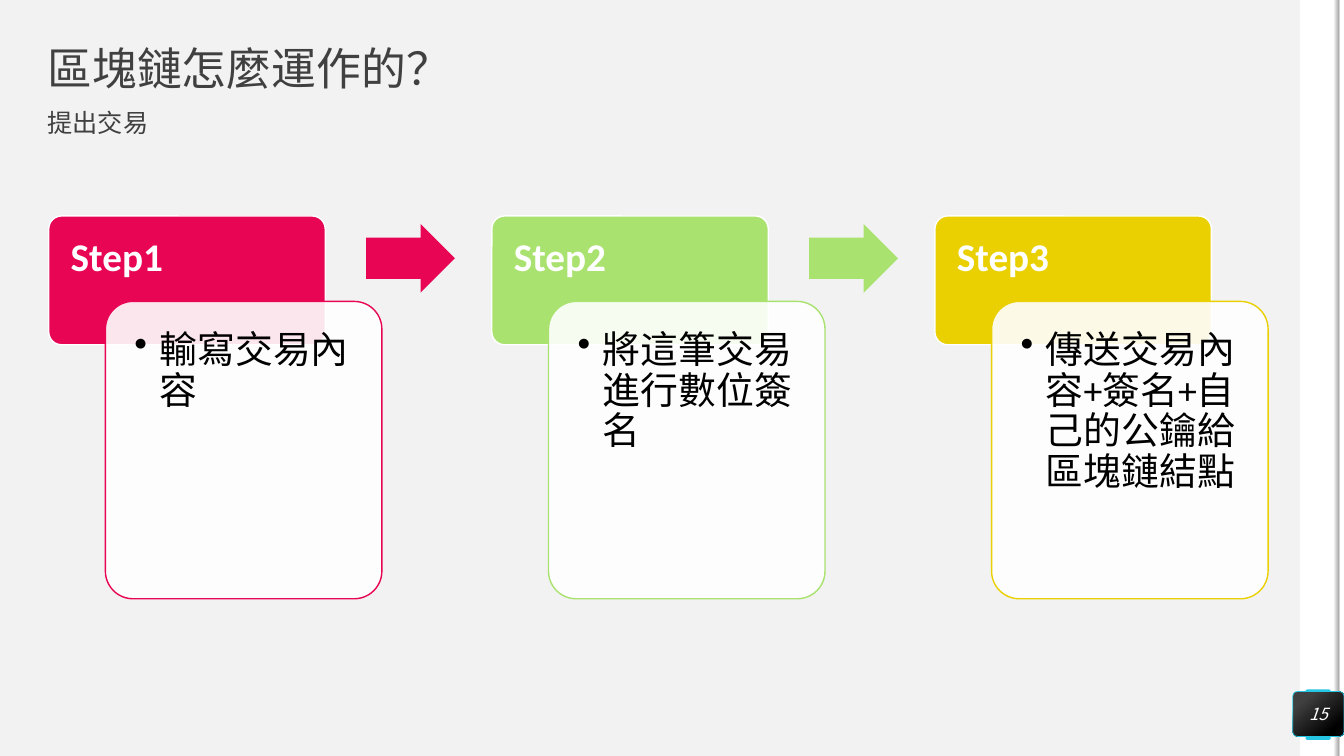
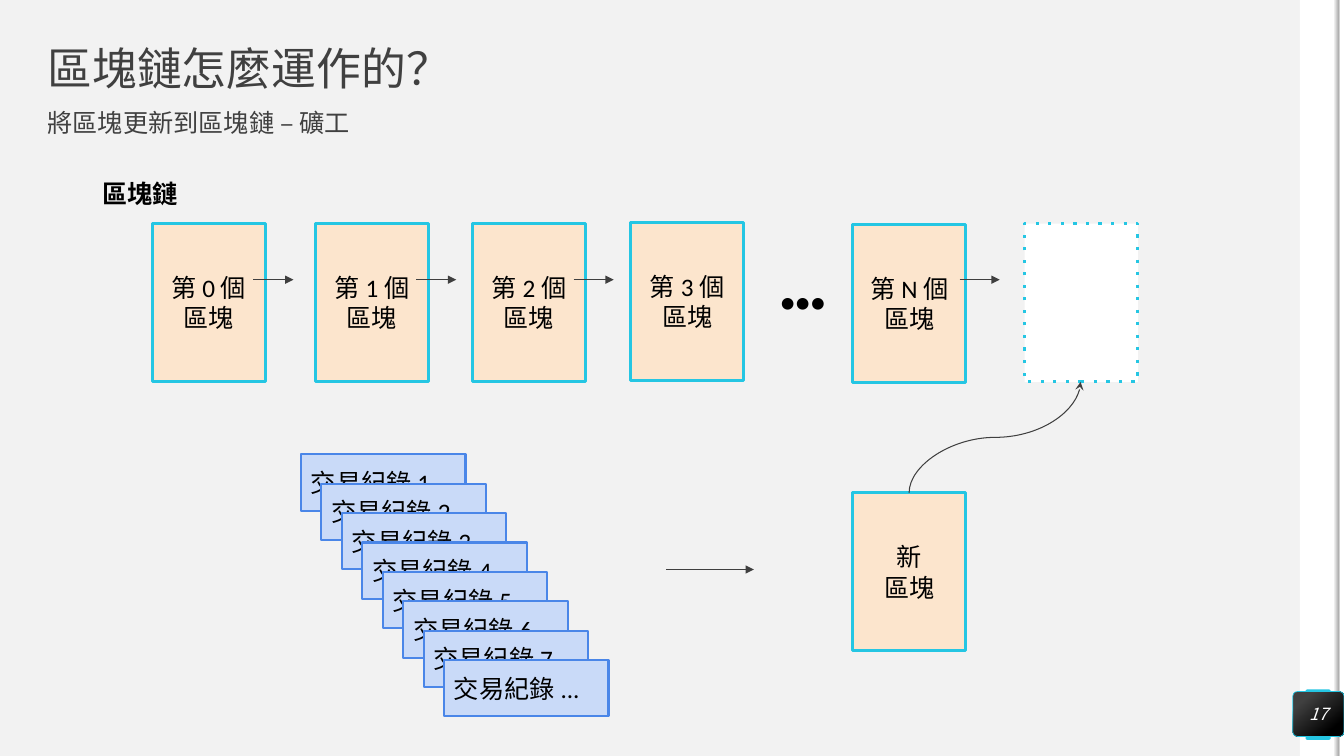
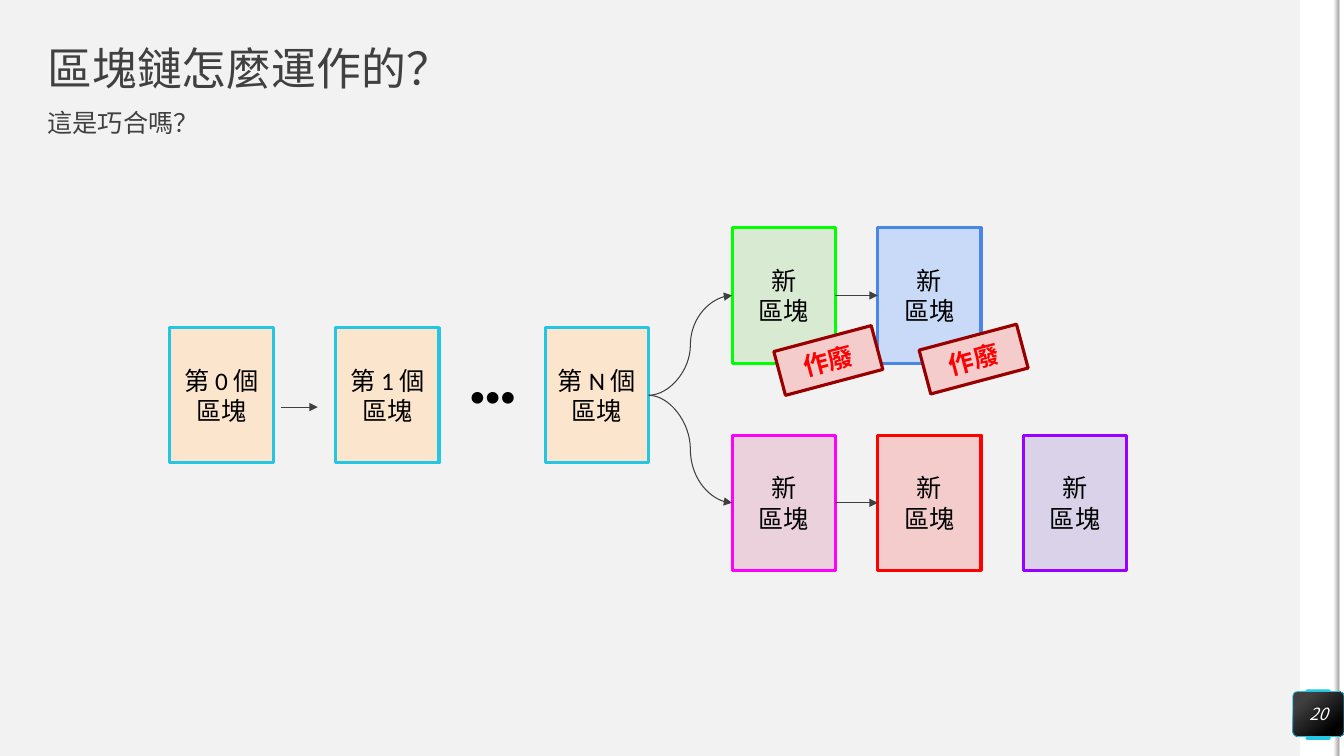
from lxml import etree
from pptx import Presentation
from pptx.dml.color import RGBColor
from pptx.enum.shapes import MSO_CONNECTOR, MSO_SHAPE
from pptx.enum.text import MSO_ANCHOR, MSO_AUTO_SIZE, PP_ALIGN
from pptx.oxml.ns import qn
from pptx.util import Pt

RECT, ROUNDED = MSO_SHAPE.RECTANGLE, MSO_SHAPE.ROUNDED_RECTANGLE
RIGHT_ARROW = MSO_SHAPE.RIGHT_ARROW
STRAIGHT, CURVE = MSO_CONNECTOR.STRAIGHT, MSO_CONNECTOR.CURVE
TOP, MIDDLE = MSO_ANCHOR.TOP, MSO_ANCHOR.MIDDLE
LEFT, CENTER = PP_ALIGN.LEFT, PP_ALIGN.CENTER
LEFT_SITE, RIGHT_SITE = 1, 3
NOTO = "Noto Sans CJK TC"

COLORS = {
    "background": "F2F2F2", "white": "FFFFFF", "black": "000000",
    "heading": "404040", "arrow": "3F3F3F", "shade": "A6A6A6",
    "cyan": "25C6E3", "peach": "FCE5CD",
    "crimson": "E80554", "lime": "A9E26F", "gold": "EAD000",
    "green": "00FF00", "pale green": "D9EAD3",
    "blue": "4A86E8", "pale blue": "C9DAF8",
    "magenta": "FF00FF", "pale magenta": "EAD1DC",
    "red": "FF0000", "pale red": "F4CCCC", "dark red": "980000",
    "purple": "9900FF", "pale purple": "D9D2E9",
}
RGB = {name: RGBColor.from_string(value) for name, value in COLORS.items()}


def write(shape, text, size=18, color="black", font="Calibri", bold=False,
          italic=False, align=CENTER, anchor=MIDDLE, inset=7.2,
          spacing=None, bullet=False):
    """Fill a shape with text, one paragraph for each line."""
    frame = shape.text_frame
    frame.word_wrap = True
    frame.auto_size = MSO_AUTO_SIZE.NONE
    frame.vertical_anchor = anchor
    frame.margin_left = frame.margin_right = Pt(inset)
    frame.margin_top = frame.margin_bottom = Pt(inset)
    for index, line in enumerate(text.split("\n")):
        para = frame.add_paragraph() if index else frame.paragraphs[0]
        para.alignment = align
        para.space_before = Pt(0)
        if spacing:
            para.line_spacing = spacing
        properties = para._p.get_or_add_pPr()
        indent = Pt(18) if bullet else 0
        properties.set("marL", str(indent))
        properties.set("indent", str(-indent))
        if bullet:
            etree.SubElement(properties, qn("a:buChar"), char="•")
        else:
            etree.SubElement(properties, qn("a:buNone"))
        span = para.add_run()
        span.text = line
        span.font.size = Pt(size)
        span.font.bold = bold
        span.font.italic = italic
        span.font.color.rgb = RGB[color]
        span.font.name = font
        etree.SubElement(span.font._element, qn("a:ea"), typeface=font)


def draw(page, kind, left, top, width, height, fill, line=None, weight=2.25,
         radius=None):
    """Add a preset shape; a pair of fill colours makes a gradient."""
    shape = page.shapes.add_shape(kind, Pt(left), Pt(top), Pt(width), Pt(height))
    shape.shadow.inherit = False
    if isinstance(fill, tuple):
        shape.fill.gradient()
        for stop, name in zip(shape.fill.gradient_stops, fill):
            stop.color.rgb = RGB[name]
    else:
        shape.fill.solid()
        shape.fill.fore_color.rgb = RGB[fill]
    if line:
        shape.line.color.rgb = RGB[line]
        shape.line.width = Pt(weight)
    else:
        shape.line.fill.background()
    if radius is not None:
        shape.adjustments[0] = radius
    return shape


deck = Presentation()
deck.slide_width, deck.slide_height = Pt(960), Pt(540)
master = deck.slide_master
master.background.fill.solid()
master.background.fill.fore_color.rgb = RGB["background"]

# Headings and page badges
pages = []
for subtitle, number in [("提出交易", 15), ("將區塊更新到區塊鏈 – 礦工", 17),
                         ("這是巧合嗎？", 20)]:
    page = deck.slides.add_slide(deck.slide_layouts[1])
    title, body = page.placeholders
    title.left, title.top, title.width, title.height = Pt(34), Pt(34), Pt(892), Pt(34)
    body.left, body.top, body.width, body.height = Pt(34), Pt(79), Pt(892), Pt(28)
    heading = dict(color="heading", font=NOTO, align=LEFT, inset=0, spacing=0.9)
    write(title, "區塊鏈怎麼運作的？", size=32, **heading)
    write(body, subtitle, anchor=TOP, **heading)
    badge = draw(page, ROUNDED, 923.5, 494, 36.5, 32, ("heading", "black"),
                 "cyan", 0.5, radius=0.1)
    badge.fill.gradient_angle = 310
    for stop, position in zip(badge.fill.gradient_stops, (0.2, 0.82)):
        stop.position = position
    write(badge, str(number), size=12, color="white", font=NOTO, italic=True, inset=0)
    pages.append(page)
steps_page, mining_page, fork_page = pages

# Right-hand bands, moved to the master
band = draw(steps_page, RECT, 928.5, 0, 31.5, 540, "white")
tab = draw(steps_page, ROUNDED, 932.5, 492.5, 18, 36, "cyan", radius=0.07)
edge = draw(steps_page, RECT, 953, 0, 3.6, 540, ("background", "shade"))
edge.fill.gradient_angle = 0
for part in (band, tab, edge):
    master.shapes.element.append(part.element)

# Three steps
STEPS = [("crimson", "輸寫交易內容"), ("lime", "將這筆交易進行數位簽名"),
         ("gold", "傳送交易內容+簽名+自己的公鑰給區塊鏈結點")]
for index, (color, text) in enumerate(STEPS):
    left = 34.8 + index * 316.5
    header = draw(steps_page, ROUNDED, left, 154.3, 197.5, 92, color, "white", 1, 0.1)
    write(header, f"Step{index + 1}", size=28, color="white", bold=True,
          align=LEFT, anchor=TOP, inset=13, spacing=0.9)
    panel = draw(steps_page, ROUNDED, left + 40.5, 215.3, 197.5, 212.4,
                 "white", color, 1, 0.1)
    etree.SubElement(panel.fill._xPr.find(qn("a:solidFill"))[0],
                     qn("a:alpha"), val="90000")
    write(panel, text, size=27, align=LEFT, anchor=TOP, inset=15,
          spacing=0.9, bullet=True)
    if index < len(STEPS) - 1:
        draw(steps_page, RIGHT_ARROW, left + 226.7, 160, 63.4, 49, color, radius=0.6)

# Mining: the chain, the records and the new block
arrows = []
CHAIN = [("第 0 個\n區塊", 108.8, 159.8, 181), ("第 1 個\n區塊", 225.3, 159.8, 297.3),
         ("第 2 個\n區塊", 337.5, 159.8, 409.8), ("第 3 個\n區塊", 450.5, 159, None),
         ("第 N 個\n區塊", 609.2, 160.5, 685.5), ("新\n區塊", 609.2, 352, None)]
for text, left, top, arrow_left in CHAIN:
    block = draw(mining_page, RECT, left, top, 80.8, 113, "peach", "cyan")
    write(block, text)
    if arrow_left:
        arrows.append(mining_page.shapes.add_connector(
            STRAIGHT, Pt(arrow_left), Pt(199.8), Pt(arrow_left + 28.6), Pt(199.8)))
slot = draw(mining_page, RECT, 732, 159.8, 80.8, 113, "white", "cyan")
etree.SubElement(slot.element.spPr.find(qn("a:ln")), qn("a:prstDash"), val="dot")

for index, name in enumerate([*range(1, 8), "..."]):
    record = draw(mining_page, RECT, 215 + index * 14.6, 324.5 + index * 21,
                  117.5, 40.3, "pale blue", "blue", 1.5)
    write(record, f"交易紀錄 {name}", align=LEFT)
arrows.append(mining_page.shapes.add_connector(
    STRAIGHT, Pt(476), Pt(406.8), Pt(538.5), Pt(406.8)))

label = mining_page.shapes.add_textbox(Pt(66.2), Pt(120), Pt(94), Pt(40))
write(label, "區塊鏈", bold=True, align=LEFT, anchor=TOP)

rise = mining_page.shapes.add_connector(CURVE, Pt(750.3), Pt(373.7), Pt(671), Pt(251.2))
rise.element.spPr.find(qn("a:xfrm")).set("rot", "5400000")

# Fork: one chain, two branches
fork = {}
for name, text, left, top, fill, line in [
        ("first", "第 0 個\n區塊", 121.3, 234, "peach", "cyan"),
        ("second", "第 1 個\n區塊", 239.8, 234, "peach", "cyan"),
        ("last", "第 N 個\n區塊", 389.5, 234, "peach", "cyan"),
        ("upper", "新\n區塊", 523, 162.7, "pale green", "green"),
        ("upper next", "新\n區塊", 627, 162.7, "pale blue", "blue"),
        ("lower", "新\n區塊", 523, 310.8, "pale magenta", "magenta"),
        ("lower next", "新\n區塊", 627, 310.8, "pale red", "red"),
        ("lower end", "新\n區塊", 731, 310.8, "pale purple", "purple")]:
    fork[name] = draw(fork_page, RECT, left, top, 73.8, 96.7, fill, line)
    write(fork[name], text)
for start, end in [("last", "upper"), ("last", "lower"),
                   ("upper", "upper next"), ("lower", "lower next")]:
    kind = CURVE if start == "last" else STRAIGHT
    branch = fork_page.shapes.add_connector(kind, 0, 0, 0, 0)
    branch.begin_connect(fork[start], RIGHT_SITE)
    branch.end_connect(fork[end], LEFT_SITE)
    arrows.append(branch)
arrows.append(fork_page.shapes.add_connector(
    STRAIGHT, Pt(200.8), Pt(290.8), Pt(227), Pt(290.8)))
for left, top in [(659.5, 240.3), (555.7, 241.3)]:
    stamp = draw(fork_page, RECT, left, top, 72, 32.4, "pale red", "dark red")
    stamp.rotation = 345.1
    write(stamp, "作廢", color="red", bold=True)

# Ellipses and arrow styling
for page, left, top, width, height in [(mining_page, 546.5, 159, 54, 113),
                                       (fork_page, 327.5, 234, 49, 96.7)]:
    dots = page.shapes.add_textbox(Pt(left), Pt(top), Pt(width), Pt(height))
    write(dots, "●●●")
for arrow in [*arrows, rise]:
    arrow.line.color.rgb = RGB["arrow"]
    arrow.line.width = Pt(0.75)
    properties = arrow.element.spPr
    head = "stealth" if arrow is rise else "triangle"
    etree.SubElement(properties.find(qn("a:ln")), qn("a:tailEnd"), type=head)
    etree.SubElement(properties, qn("a:effectLst"))

deck.save("out.pptx")
